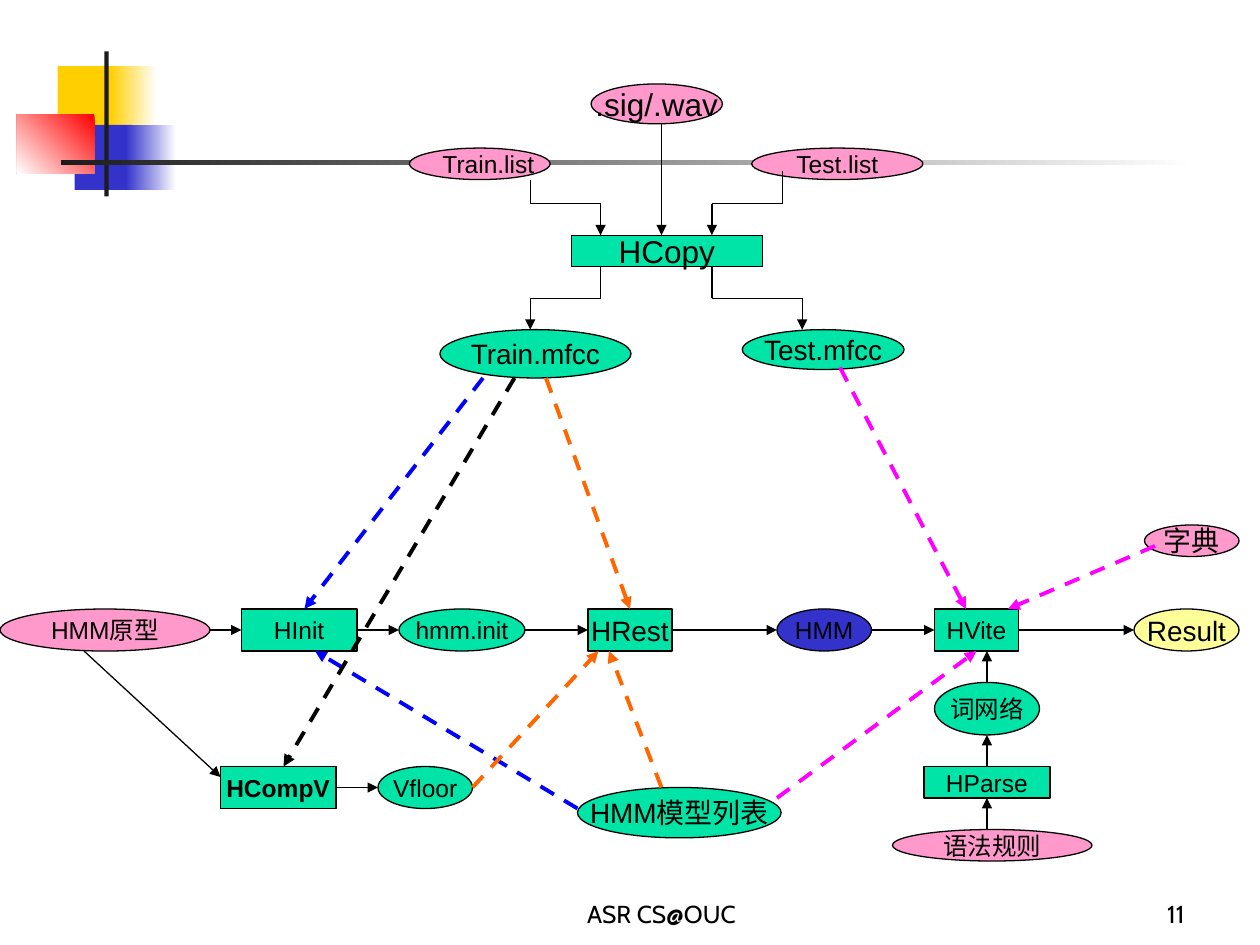
from itertools import pairwise

from pptx import Presentation, util as u
from pptx.dml.color import RGBColor
from pptx.enum import dml, shapes, text
from pptx.oxml.ns import qn
from lxml import etree

THEME = {
    "green": "00E4A8", "pink": "FF99CC", "navy": "3333CC", "cream": "FFFF99",
    "black": "000000", "blue": "0000FF", "orange": "FF6600", "magenta": "FF00FF",
    "gold": "FFCF01", "red": "FF0000", "white": "FFFFFF", "ink": "1C1C1C",
    "font": "Arial", "footer font": "Cabin",
    "small": 14, "medium": 16, "large": 18,
    "thin": 0.75, "thick": 2.25,
}
COLS, ROWS = 120, 90  # grid cells across and down the slide
WIDTH, HEIGHT = u.Inches(10), u.Inches(7.5)
RECT, OVAL = shapes.MSO_SHAPE.RECTANGLE, shapes.MSO_SHAPE.OVAL
ALIGN = text.PP_ALIGN

# (column, row, columns wide, rows high), colour or (start, end, angle)
ORNAMENT = [
    ((5.5, 6.3, 5.7, 6.3), "gold"),
    ((10.5, 6.3, 4.4, 6.3), ("white", "gold", 180)),
    ((7.1, 11.9, 5.5, 6.2), "navy"),
    ((12, 11.9, 4.8, 6.2), ("white", "navy", 180)),
    ((1.6, 10.9, 7.4, 5.6), ("red", "white", 225)),
    ((9.95, 4.9, 0.4, 13.8), "ink"),
    ((5.8, 15.2, 108, 0.5), ("white", "ink", 180)),
]

# name: (cell box, shape, colour, text size)
NODES = {
    ".sig/.wav": ((56.3, 8, 12.5, 3.8), OVAL, "pink", "large"),
    "Train.list": ((39, 14.1, 13.4, 3), OVAL, "pink", "small"),
    "Test.list": ((71.6, 14.1, 16.3, 3), OVAL, "pink", "small"),
    "HCopy": ((54.4, 22.4, 18.2, 3), RECT, "green", "large"),
    "Train.mfcc": ((41.9, 31.4, 18.2, 4.6), OVAL, "green", "medium"),
    "Test.mfcc": ((70.7, 31.4, 15.4, 3.8), OVAL, "green", "medium"),
    "HMM原型": ((0, 58, 20, 4), OVAL, "pink", "small"),
    "HInit": ((23, 58, 11, 4), RECT, "green", "small"),
    "hmm.init": ((38, 58, 12, 4), OVAL, "green", "small"),
    "HRest": ((56, 58, 8, 4), RECT, "green", "medium"),
    "HMM": ((74, 58, 9, 4), OVAL, "navy", "small"),
    "HVite": ((89, 58, 8, 4), RECT, "green", "small"),
    "Result": ((108, 58, 10, 4), OVAL, "cream", "medium"),
    "词网络": ((89, 65, 10, 5), OVAL, "green", "small"),
    "HParse": ((88, 73, 12, 3), RECT, "green", "small"),
    "语法规则": ((85, 79, 19, 3), OVAL, "pink", "small"),
    "字典": ((109, 50, 9, 3), OVAL, "pink", "medium"),
    "HCompV": ((21, 73, 11, 4), RECT, "green", "small"),
    "Vfloor": ((36, 73, 9, 4), OVAL, "green", "small"),
    "HMM模型列表": ((55, 75, 19.4, 4.8), OVAL, "green", "medium"),
}
LEFT_ALIGNED, BOLD = {"Train.list"}, {"HCompV"}

ACROSS = [  # each node points to the next one on its row
    ["HMM原型", "HInit", "hmm.init", "HRest", "HMM", "HVite", "Result"],
    ["HCompV", "Vfloor"],
]
UPWARD = ["语法规则", "HParse", "词网络", "HVite"]
UPWARD_COL = 94

# colour, dashed, corner points
ROUTES = [
    ("black", False, [(63, 11.8), (63, 22.4)]),
    ("black", False, [(50.5, 17.1), (50.5, 19.4), (57.2, 19.4), (57.2, 22.4)]),
    ("black", False, [(74.5, 16.3), (74.5, 19.4), (67.8, 19.4), (67.8, 22.4)]),
    ("black", False, [(57.2, 25.4), (57.2, 28.4), (50.5, 28.4), (50.5, 31.4)]),
    ("black", False, [(67.8, 25.4), (67.8, 28.4), (76.4, 28.4), (76.4, 31.4)]),
    ("black", False, [(8, 62), (21, 74)]),
    ("blue", True, [(46, 36), (29, 58)]),
    ("blue", True, [(55, 77), (30, 62)]),
    ("orange", True, [(63, 75), (58, 62)]),
    ("orange", True, [(45, 75), (57, 62)]),
    ("orange", True, [(52, 36), (60, 58)]),
    ("magenta", True, [(74, 76), (93, 62)]),
    ("magenta", True, [(80, 35), (92, 58)]),
    ("magenta", True, [(110, 52), (96, 58)]),
    ("black", True, [(49, 36), (27, 73)]),
]

FOOTERS = [
    ((44, 83, 38, 6), "ASR CS@OUC", ALIGN.CENTER),
    ((89, 83, 25, 6), "11", ALIGN.RIGHT),
]


def rgb(name):
    return RGBColor.from_string(THEME[name])


def emu(*cells):
    """Turn alternating column and row counts into slide lengths."""
    units = (WIDTH / COLS, HEIGHT / ROWS)
    return [round(c * units[i % 2]) for i, c in enumerate(cells)]


def set_all(obj, **values):
    for name, value in values.items():
        setattr(obj, name, value)


def write(sp, words, align, anchor, wrap, font, size, bold=False):
    tf = sp.text_frame
    set_all(tf, word_wrap=wrap, vertical_anchor=anchor)
    p = tf.paragraphs[0]
    p.alignment = align
    r = p.add_run()
    r.text = words
    set_all(r.font, name=THEME[font], size=u.Pt(THEME[size]), bold=bold)
    r.font.color.rgb = rgb("black")


def add_shape(s, kind, box, colour):
    sp = s.shapes.add_shape(kind, *emu(*box))
    sp.shadow.inherit = False
    sp.line.fill.background()
    if isinstance(colour, str):
        sp.fill.solid()
        sp.fill.fore_color.rgb = rgb(colour)
    else:
        *ends, angle = colour
        sp.fill.gradient()
        sp.fill.gradient_angle = angle
        for stop, name in zip(sp.fill.gradient_stops, ends):
            stop.color.rgb = rgb(name)
    return sp


def add_node(s, name, box, kind, colour, size):
    sp = add_shape(s, kind, box, colour)
    sp.line.color.rgb = rgb("black")
    sp.line.width = u.Pt(THEME["thin"])
    align = ALIGN.LEFT if name in LEFT_ALIGNED else ALIGN.CENTER
    write(sp, name, align, text.MSO_ANCHOR.MIDDLE, False, "font", size, name in BOLD)


def add_route(s, colour, dashed, points):
    """Join the points with lines; the last line gets an arrowhead."""
    for start, end in pairwise(points):
        c = s.shapes.add_connector(shapes.MSO_CONNECTOR.STRAIGHT, *emu(*start, *end))
        c.line.color.rgb = rgb(colour)
        c.line.width = u.Pt(THEME["thick" if dashed else "thin"])
        if dashed:
            c.line.dash_style = dml.MSO_LINE.DASH
        if end == points[-1]:
            etree.SubElement(c.line._get_or_add_ln(), qn("a:tailEnd"), type="triangle")
        etree.SubElement(c._element.spPr, qn("a:effectLst"))


def node_links():
    for row in ACROSS:
        for a, b in pairwise(row):
            (x, y, w, h), target = NODES[a][0], NODES[b][0]
            yield [(x + w, y + h / 2), (target[0], y + h / 2)]
    for a, b in pairwise(UPWARD):
        top, target = NODES[a][0][1], NODES[b][0]
        yield [(UPWARD_COL, top), (UPWARD_COL, target[1] + target[3])]


def main():
    prs = Presentation()
    set_all(prs, slide_width=WIDTH, slide_height=HEIGHT)
    s = prs.slides.add_slide(prs.slide_layouts[6])
    for box, colour in ORNAMENT:
        add_shape(s, RECT, box, colour)
    for name, node in NODES.items():
        add_node(s, name, *node)
    for points in node_links():
        add_route(s, "black", False, points)
    for route in ROUTES:
        add_route(s, *route)
    for box, words, align in FOOTERS:
        tb = s.shapes.add_textbox(*emu(*box))
        write(tb, words, align, text.MSO_ANCHOR.BOTTOM, True, "footer font", "small")
    prs.save("out.pptx")


if __name__ == "__main__":
    main()
